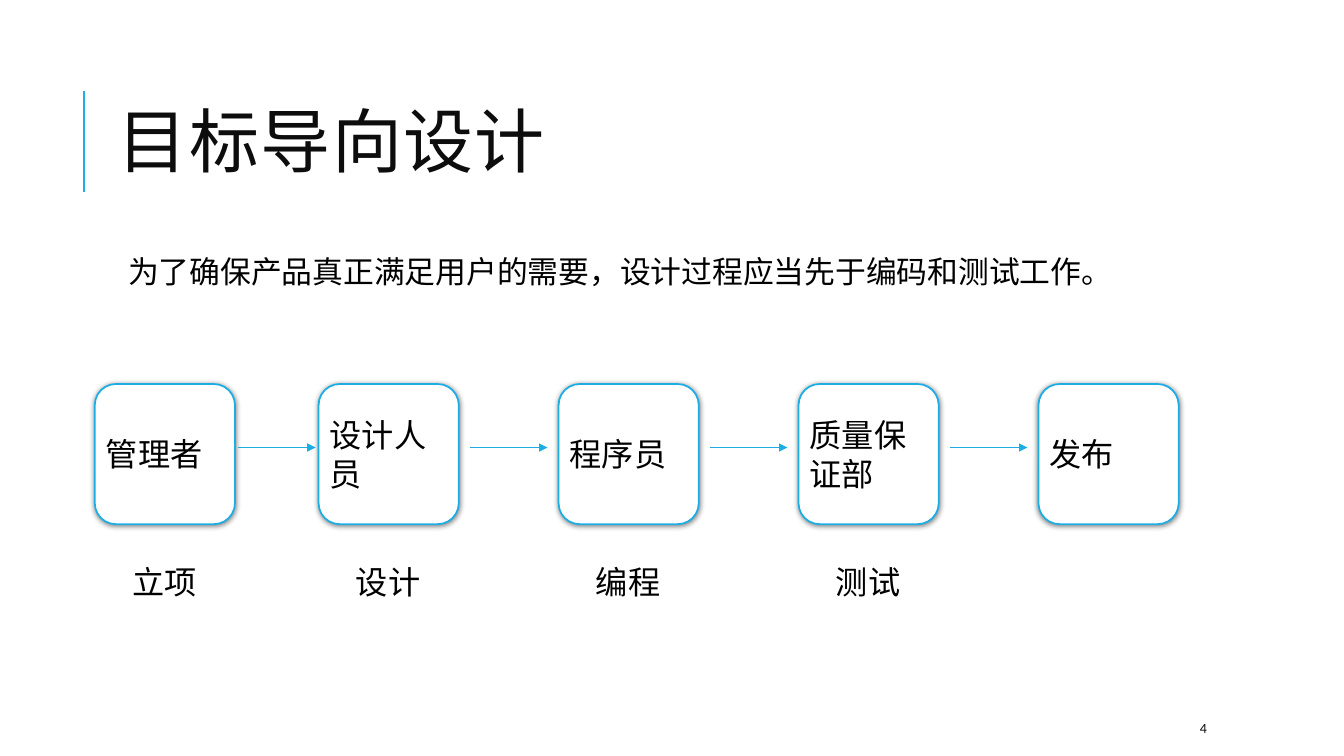
"""Build the goal-directed design process slide."""
from lxml import etree
from pptx import Presentation
from pptx.dml.color import RGBColor
from pptx.enum.shapes import MSO_CONNECTOR, MSO_SHAPE
from pptx.enum.text import MSO_ANCHOR, MSO_AUTO_SIZE, PP_ALIGN
from pptx.oxml.ns import qn
from pptx.util import Pt

TITLE = "目标导向设计"
STATEMENT = "为了确保产品真正满足用户的需要，设计过程应当先于编码和测试工作。"
SLIDE_NUMBER = "4"
STEPS = [
    ("管理者", "立项"),
    ("设计人员", "设计"),
    ("程序员", "编程"),
    ("质量保证部", "测试"),
    ("发布", None),
]

PX = 9144
SLIDE_SIZE = (1333, 750)
FIRST_LEFT, SECOND_LEFT, STEP_PITCH = 94, 316, 238
BOX_TOP, BOX_SIZE = 381, 139
FIRST_ARROW_OFFSET, ARROW_OFFSET = 142, 150
ARROW_Y, ARROW_LENGTH = 444, 77
LABEL_OFFSET, LABEL_TOP, LABEL_WIDTH, LABEL_HEIGHT = 32, 553, 75, 54
INSET = 5

FONT = "Calibri"
BLUE = RGBColor(0x1C, 0xAD, 0xE4)
BLACK = RGBColor(0x00, 0x00, 0x00)
INK = RGBColor(0x0D, 0x0D, 0x0D)
WHITE = RGBColor(0xFF, 0xFF, 0xFF)

TOP, MIDDLE = MSO_ANCHOR.TOP, MSO_ANCHOR.MIDDLE
NO_FIT, GROW = MSO_AUTO_SIZE.NONE, MSO_AUTO_SIZE.SHAPE_TO_FIT_TEXT
LEFT = PP_ALIGN.LEFT
STRAIGHT = MSO_CONNECTOR.STRAIGHT
ROUNDED = MSO_SHAPE.ROUNDED_RECTANGLE


def px(*lengths):
    return [length * PX for length in lengths]


def place(shape, *box):
    shape.left, shape.top, shape.width, shape.height = px(*box)


def write(shape, text, size, color=BLACK, anchor=TOP, wrap=True, fit=NO_FIT):
    frame = shape.text_frame
    frame.text = text
    frame.word_wrap = wrap
    frame.auto_size = fit
    frame.vertical_anchor = anchor
    frame.margin_left = frame.margin_right = INSET * PX
    frame.margin_top = frame.margin_bottom = INSET * PX
    paragraph = frame.paragraphs[0]
    paragraph.alignment = LEFT
    font = paragraph.runs[0].font
    font.name, font.size, font.color.rgb = FONT, Pt(size), color
    return paragraph


def add_text(slide, box, text, size, **style):
    write(slide.shapes.add_textbox(*px(*box)), text, size, wrap=False, fit=GROW, **style)


def add_line(slide, start, end, width, arrow=False):
    connector = slide.shapes.add_connector(STRAIGHT, *px(*start, *end))
    connector.line.color.rgb = BLUE
    connector.line.width = Pt(width)
    if arrow:
        outline = connector.line._get_or_add_ln()
        etree.SubElement(outline, qn("a:tailEnd"), type="triangle")
    etree.SubElement(connector._element.spPr, qn("a:effectLst"))


def add_box(slide, left, text):
    box = slide.shapes.add_shape(ROUNDED, *px(left, BOX_TOP, BOX_SIZE, BOX_SIZE))
    box.adjustments[0] = 0.15
    box.fill.solid()
    box.fill.fore_color.rgb = WHITE
    box.line.color.rgb = BLUE
    box.line.width = Pt(1.25)
    box.shadow.inherit = False
    effects = box._element.spPr.find(qn("a:effectLst"))
    shadow = etree.SubElement(
        effects, qn("a:outerShdw"), blurRad=str(Pt(4)), dist=str(Pt(1)),
        dir="5400000", rotWithShape="0")
    tint = etree.SubElement(shadow, qn("a:srgbClr"), val=str(BLACK))
    etree.SubElement(tint, qn("a:alpha"), val="50000")
    write(box, text, 23, anchor=MIDDLE)


def add_title(slide):
    title = slide.shapes.title
    place(title, 112, 64, 1063, 164)
    paragraph = write(title, TITLE, 50, INK, MIDDLE)
    paragraph.line_spacing = 0.8
    paragraph.runs[0].font._element.set("spc", "100")


def add_statement(slide):
    body = slide.placeholders[1]
    place(body, 112, 250, 1063, 74)
    paragraph = write(body, STATEMENT, 22)
    paragraph.line_spacing = 0.9
    paragraph.space_before = Pt(12)
    properties = paragraph._p.get_or_add_pPr()
    properties.set("marL", str(10 * PX))
    properties.set("indent", str(-10 * PX))
    bullet_color = etree.SubElement(properties, qn("a:buClr"))
    etree.SubElement(bullet_color, qn("a:srgbClr"), val=str(BLUE))
    etree.SubElement(properties, qn("a:buChar"), char=" ")


def add_process(slide):
    for index, (role, stage) in enumerate(STEPS):
        left = SECOND_LEFT + (index - 1) * STEP_PITCH if index else FIRST_LEFT
        add_box(slide, left, role)
        if stage:
            add_text(slide, (left + LABEL_OFFSET, LABEL_TOP, LABEL_WIDTH, LABEL_HEIGHT),
                     stage, 23)
        if index < len(STEPS) - 1:
            start = left + (ARROW_OFFSET if index else FIRST_ARROW_OFFSET)
            add_line(slide, (start, ARROW_Y), (start + ARROW_LENGTH, ARROW_Y), 1.25, True)


def main():
    presentation = Presentation()
    presentation.slide_width, presentation.slide_height = px(*SLIDE_SIZE)
    slide = presentation.slides.add_slide(presentation.slide_layouts[1])
    add_line(slide, (83, 190), (83, 90), 1.5)
    add_title(slide)
    add_statement(slide)
    add_process(slide)
    add_text(slide, (1185, 710, 19, 25), SLIDE_NUMBER, 10, color=INK, anchor=MIDDLE)
    presentation.save("out.pptx")


if __name__ == "__main__":
    main()
